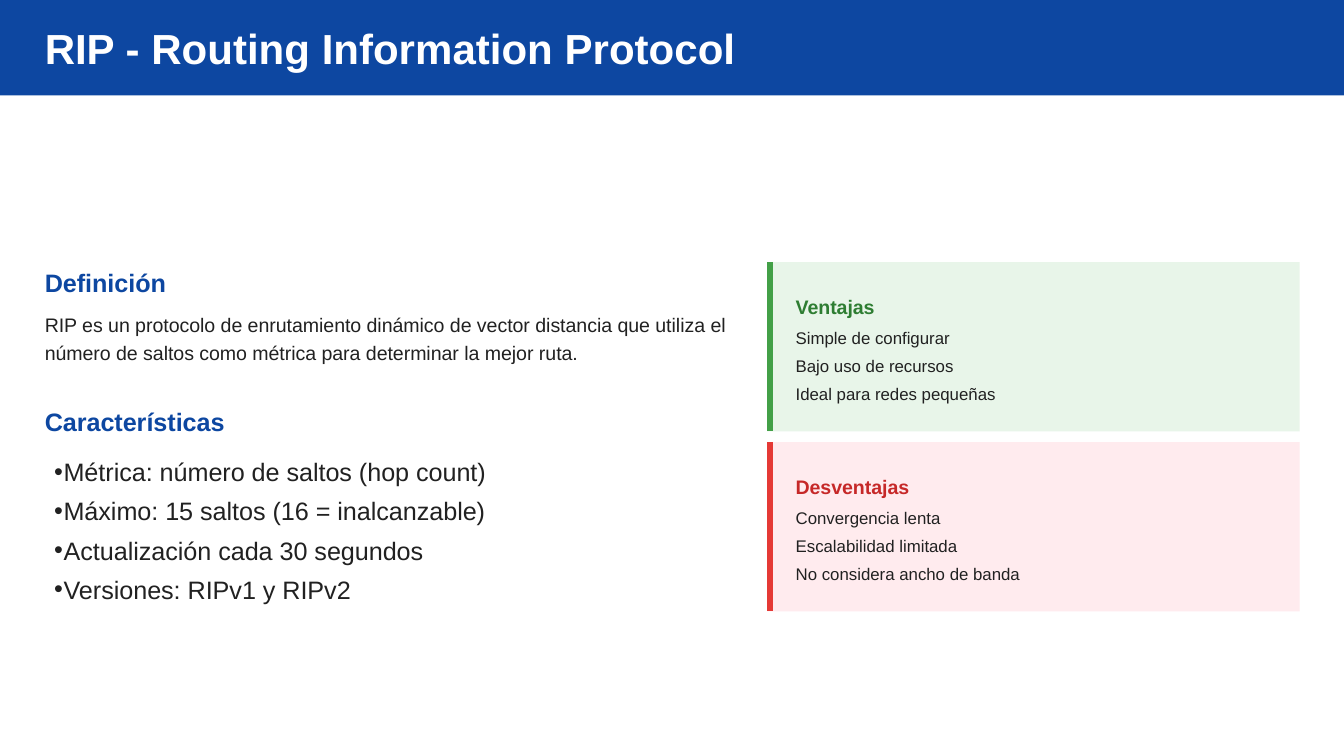
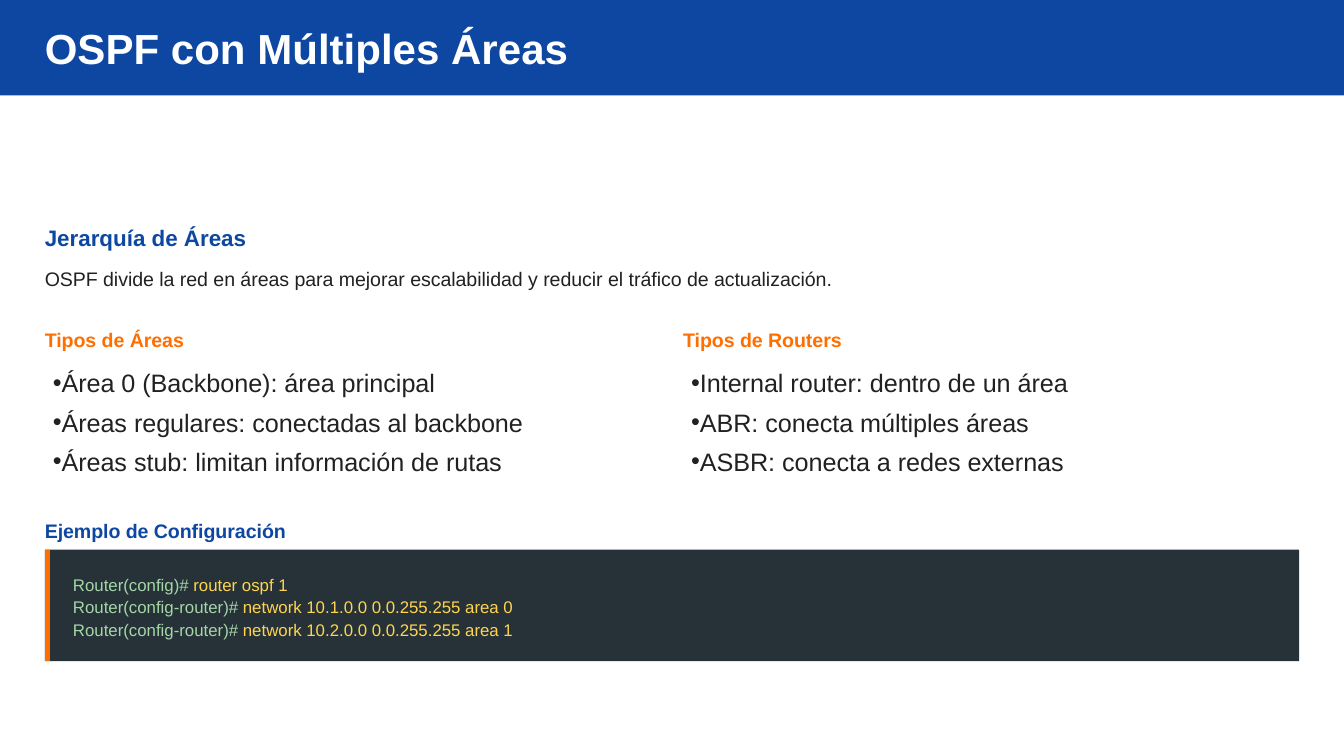
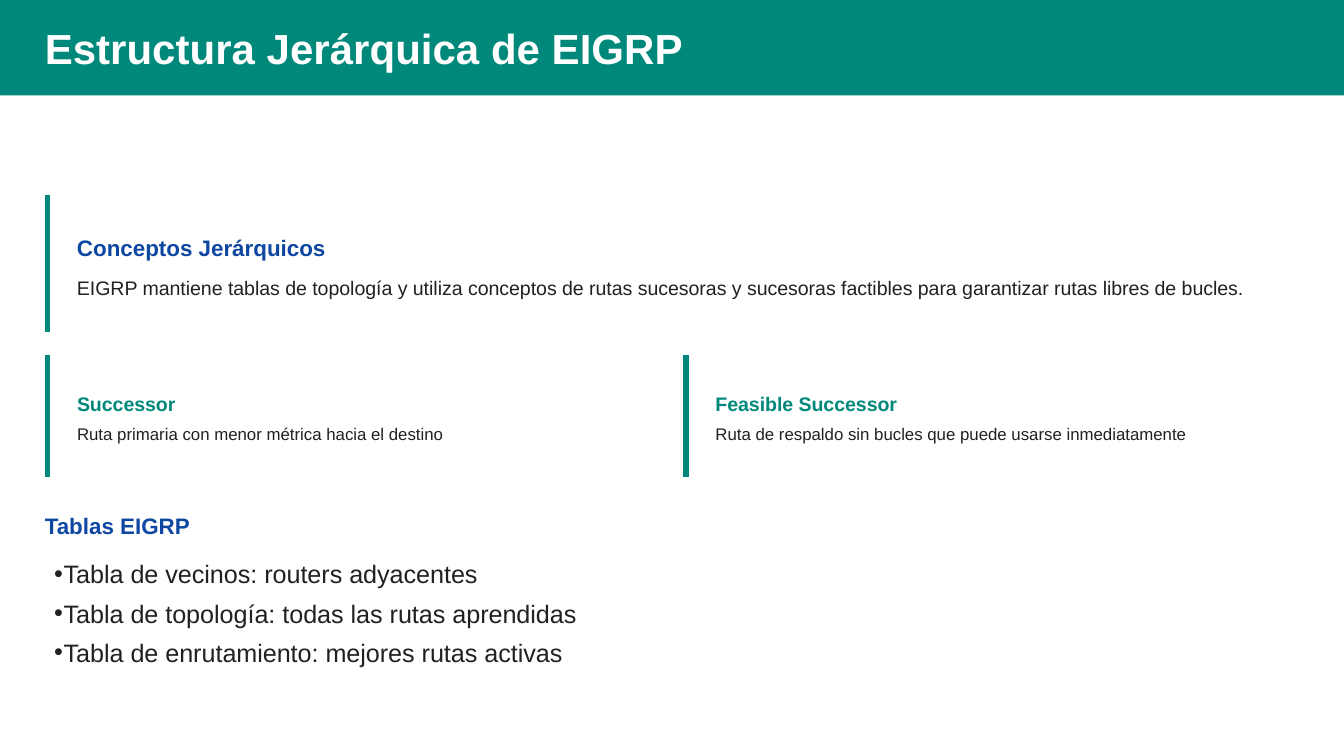
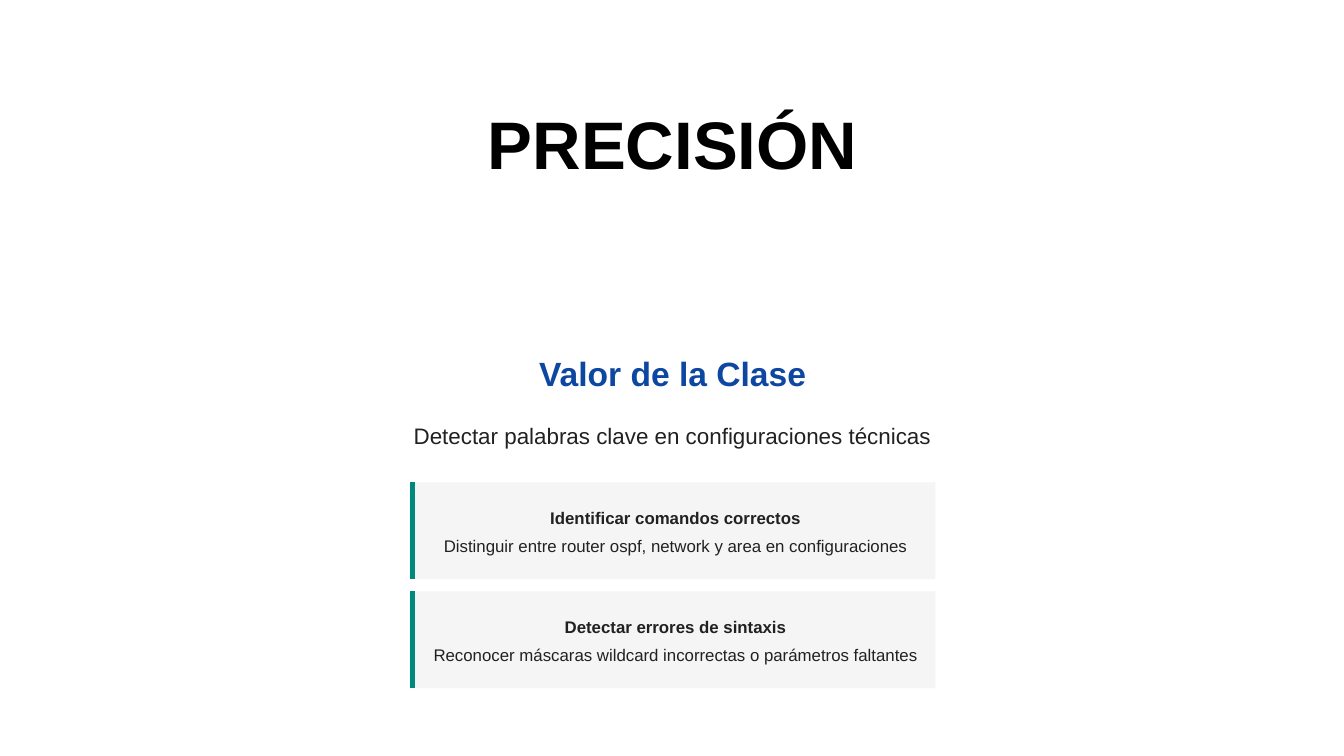
from dataclasses import dataclass
from typing import NamedTuple

from lxml import etree
from pptx import Presentation
from pptx.dml.color import RGBColor
from pptx.enum.shapes import MSO_CONNECTOR, MSO_SHAPE
from pptx.enum.text import MSO_ANCHOR, PP_ALIGN
from pptx.oxml.ns import qn
from pptx.slide import Slide
from pptx.util import Inches, Pt

RECTANGLE = MSO_SHAPE.RECTANGLE
STRAIGHT = MSO_CONNECTOR.STRAIGHT
TOP = MSO_ANCHOR.TOP
LEFT, CENTER = PP_ALIGN.LEFT, PP_ALIGN.CENTER

FONT = "Arial"
COLORS = {
    "white": "FFFFFF", "black": "000000", "ink": "212121",
    "blue": "0D47A1", "teal": "00897B", "orange": "FF6F00",
    "pro_fill": "E8F5E9", "pro_edge": "43A047", "pro_title": "2E7D32",
    "con_fill": "FFEBEE", "con_edge": "E53935", "con_title": "C62828",
    "code_fill": "263238", "prompt": "A5D6A7", "command": "FFD54F",
    "panel": "F5F5F5",
}

# Shared layout, in inches; the slide is 16:9
SLIDE_W = 10
SLIDE_H = SLIDE_W * 9 / 16
MARGIN = 1 / 3
CONTENT_W = SLIDE_W - 2 * MARGIN
FULL_TEXT_W = 9.52
COLUMN_GAP = 1 / 6
COLUMN_W = (CONTENT_W - COLUMN_GAP) / 2
COLUMN_LEFTS = (MARGIN, MARGIN + COLUMN_W + COLUMN_GAP)
BAND_H = 0.71
EDGE_INSET = 0.02
BULLET_ROW_H = 0.32


class Style(NamedTuple):
    size: float
    leading: float
    after: float = 0
    bold: bool = False


BAND_TITLE = Style(22.5, 27, 0, True)
SECTION = Style(13.5, 21, 6, True)
SUBSECTION = Style(12, 18, 6, True)
LABEL = Style(10.5, 15, 3.6, True)
BODY = Style(10.5, 15, 3)
DETAIL = Style(9, 12, 3)
DETAIL_TITLE = Style(9, 12, 3, True)
CODE = Style(9, 12)
BULLET = Style(13.5, 21)
HERO = Style(36, 36, 0, True)
HERO_TITLE = Style(18, 24, 12, True)
HERO_BODY = Style(12, 18, 18)


class Line(NamedTuple):
    text: str
    style: Style
    color: str = "ink"
    command: str = ""
    rows: int = 1


@dataclass(frozen=True)
class Card:
    left: float
    top: float
    width: float
    height: float
    fill: str
    edge: str
    pad_x: float
    pad_y: float
    text_width: float
    lines: tuple[Line, ...]
    align: PP_ALIGN = LEFT


def rgb(name: str) -> RGBColor:
    return RGBColor.from_string(COLORS[name])


def add_rect(slide: Slide, left: float, top: float, width: float, height: float, fill: str) -> None:
    rect = slide.shapes.add_shape(RECTANGLE, *map(Inches, (left, top, width, height)))
    rect.shadow.inherit = False
    rect.fill.solid()
    rect.fill.fore_color.rgb = rgb(fill)
    rect.line.fill.background()


def add_frame(slide: Slide, left: float, top: float, width: float, height: float, inset: float = 0):
    frame = slide.shapes.add_textbox(*map(Inches, (left, top, width, height))).text_frame
    settings = {"margin_left": Inches(inset), "margin_right": 0, "margin_top": 0,
                "margin_bottom": 0, "word_wrap": True, "vertical_anchor": TOP}
    for name, value in settings.items():
        setattr(frame, name, value)
    return frame


def add_run(paragraph, text: str, style: Style, color: str) -> None:
    run = paragraph.add_run()
    run.text = text
    for name, value in {"name": FONT, "size": Pt(style.size), "bold": style.bold}.items():
        setattr(run.font, name, value)
    run.font.color.rgb = rgb(color)


def add_stack(slide: Slide, left: float, top: float, width: float,
              lines: tuple[Line, ...], align: PP_ALIGN = LEFT) -> None:
    """Place one box per line, each below the last by its leading and space after."""
    for line in lines:
        height = line.rows * line.style.leading / 72
        paragraph = add_frame(slide, left, top, width, height).paragraphs[0]
        paragraph.alignment = align
        paragraph.line_spacing = Pt(line.style.leading)
        paragraph.space_after = Pt(line.style.after)
        add_run(paragraph, line.text, line.style, line.color)
        if line.command:
            add_run(paragraph, line.command, line.style, "command")
        top += height + line.style.after / 72


def add_bullets(slide: Slide, left: float, top: float, width: float,
                items: tuple[str, ...], indent: float = 0.07) -> None:
    frame = add_frame(slide, left, top, width, BULLET_ROW_H * len(items), indent)
    for index, item in enumerate(items):
        paragraph = frame.add_paragraph() if index else frame.paragraphs[0]
        properties = paragraph._p.get_or_add_pPr()
        properties.set("marL", str(Inches(indent)))
        properties.set("indent", str(-Inches(indent)))
        etree.SubElement(properties, qn("a:buFont")).set("typeface", FONT)
        etree.SubElement(properties, qn("a:buChar")).set("char", "•")
        paragraph.line_spacing = Pt(BULLET.leading)
        add_run(paragraph, item, BULLET, "ink")


def add_card(slide: Slide, card: Card) -> None:
    add_rect(slide, card.left, card.top, card.width, card.height, card.fill)
    edge_x = card.left + EDGE_INSET
    edge = slide.shapes.add_connector(
        STRAIGHT, *map(Inches, (edge_x, card.top, edge_x, card.top + card.height)))
    edge.line.color.rgb = rgb(card.edge)
    edge.line.width = Pt(3)
    etree.SubElement(edge._element.spPr, qn("a:effectLst"))
    add_stack(slide, card.left + card.pad_x, card.top + card.pad_y,
              card.text_width, card.lines, card.align)


def add_slide(deck, title: str = "", band: str = "blue", title_width: float = 5) -> Slide:
    slide = deck.slides.add_slide(deck.slide_layouts[6])
    slide.background.fill.solid()
    slide.background.fill.fore_color.rgb = rgb("white")
    if title:
        add_rect(slide, 0, 0, SLIDE_W, BAND_H, band)
        add_stack(slide, MARGIN, 0.17, title_width, (Line(title, BAND_TITLE, "white"),))
    return slide


def build_rip(deck) -> None:
    slide = add_slide(deck, "RIP - Routing Information Protocol", title_width=5.24)
    text_width = 5.31
    add_stack(slide, MARGIN, 1.92, text_width, (
        Line("Definición", SECTION, "blue"),
        Line("RIP es un protocolo de enrutamiento dinámico de vector distancia que utiliza "
             "el número de saltos como métrica para determinar la mejor ruta.", BODY, rows=2),
    ))
    add_stack(slide, MARGIN, 2.96, text_width, (Line("Características", SECTION, "blue"),))
    add_bullets(slide, MARGIN, 3.33, 5.21, (
        "Métrica: número de saltos (hop count)",
        "Máximo: 15 saltos (16 = inalcanzable)",
        "Actualización cada 30 segundos",
        "Versiones: RIPv1 y RIPv2",
    ))
    # Advantages and drawbacks
    verdicts = (
        ("pro", "Ventajas",
         ("Simple de configurar", "Bajo uso de recursos", "Ideal para redes pequeñas")),
        ("con", "Desventajas",
         ("Convergencia lenta", "Escalabilidad limitada", "No considera ancho de banda")),
    )
    for index, (kind, title, points) in enumerate(verdicts):
        lines = (Line(title, LABEL, f"{kind}_title"), *(Line(point, DETAIL) for point in points))
        add_card(slide, Card(5.71, 1.95 + 1.34 * index, 3.96, 1.26, f"{kind}_fill",
                             f"{kind}_edge", 0.21, 0.21, 3.65, lines))


def build_ospf(deck) -> None:
    slide = add_slide(deck, "OSPF con Múltiples Áreas", title_width=4.77)
    add_stack(slide, MARGIN, 1.62, FULL_TEXT_W, (
        Line("Jerarquía de Áreas", SUBSECTION, "blue"),
        Line("OSPF divide la red en áreas para mejorar escalabilidad y reducir el tráfico "
             "de actualización.", BODY),
    ))
    # Area and router types
    types = (
        ("Tipos de Áreas", ("Área 0 (Backbone): área principal",
                            "Áreas regulares: conectadas al backbone",
                            "Áreas stub: limitan información de rutas")),
        ("Tipos de Routers", ("Internal router: dentro de un área",
                              "ABR: conecta múltiples áreas",
                              "ASBR: conecta a redes externas")),
    )
    for left, (title, items) in zip(COLUMN_LEFTS, types):
        add_stack(slide, left, 2.41, 4.67, (Line(title, LABEL, "orange"),))
        add_bullets(slide, left, 2.67, COLUMN_W, items, indent=0.06)
    # Configuration example
    add_stack(slide, MARGIN, 3.83, FULL_TEXT_W, (Line("Ejemplo de Configuración", LABEL, "blue"),))
    commands = (
        ("Router(config)# ", "router ospf 1"),
        ("Router(config-router)# ", "network 10.1.0.0 0.0.255.255 area 0"),
        ("Router(config-router)# ", "network 10.2.0.0 0.0.255.255 area 1"),
    )
    code = tuple(Line(prompt, CODE, "prompt", command) for prompt, command in commands)
    add_card(slide, Card(MARGIN, 4.09, CONTENT_W, 0.83, "code_fill", "orange",
                         0.21, 0.17, 9.14, code))


def build_eigrp(deck) -> None:
    slide = add_slide(deck, "Estructura Jerárquica de EIGRP", "teal", 4.84)
    add_card(slide, Card(MARGIN, 1.45, CONTENT_W, 1.02, "white", "teal", 0.24, 0.24, 9.07, (
        Line("Conceptos Jerárquicos", SUBSECTION, "blue"),
        Line("EIGRP mantiene tablas de topología y utiliza conceptos de rutas sucesoras y "
             "sucesoras factibles para garantizar rutas libres de bucles.", BODY),
    )))
    # Route roles
    roles = (
        ("Successor", "Ruta primaria con menor métrica hacia el destino"),
        ("Feasible Successor", "Ruta de respaldo sin bucles que puede usarse inmediatamente"),
    )
    for left, (role, meaning) in zip(COLUMN_LEFTS, roles):
        add_card(slide, Card(left, 2.64, COLUMN_W, 0.91, "white", "teal", 0.24, 0.24, 4.22,
                             (Line(role, LABEL, "teal"), Line(meaning, DETAIL))))
    # Protocol tables
    add_stack(slide, MARGIN, 3.76, FULL_TEXT_W, (Line("Tablas EIGRP", SUBSECTION, "blue"),))
    add_bullets(slide, MARGIN, 4.09, CONTENT_W, (
        "Tabla de vecinos: routers adyacentes",
        "Tabla de topología: todas las rutas aprendidas",
        "Tabla de enrutamiento: mejores rutas activas",
    ))


def build_precision(deck) -> None:
    slide = add_slide(deck)
    add_stack(slide, 3.6, 0.86, 2.81, (Line("PRECISIÓN", HERO, "black"),), CENTER)
    add_stack(slide, 3.01, 2.59, 3.99, (
        Line("Valor de la Clase", HERO_TITLE, "blue"),
        Line("Detectar palabras clave en configuraciones técnicas", HERO_BODY),
    ), CENTER)
    # Skills
    skills = (
        ("Identificar comandos correctos",
         "Distinguir entre router ospf, network y area en configuraciones"),
        ("Detectar errores de sintaxis",
         "Reconocer máscaras wildcard incorrectas o parámetros faltantes"),
    )
    for index, (skill, detail) in enumerate(skills):
        add_card(slide, Card(3.05, 3.59 + 0.81 * index, 3.91, 0.72, "panel", "teal",
                             0.14, 0.17, 3.67,
                             (Line(skill, DETAIL_TITLE), Line(detail, DETAIL)), CENTER))


def main() -> None:
    deck = Presentation()
    deck.slide_width, deck.slide_height = Inches(SLIDE_W), Inches(SLIDE_H)
    for build in (build_rip, build_ospf, build_eigrp, build_precision):
        build(deck)
    deck.save("out.pptx")


if __name__ == "__main__":
    main()
